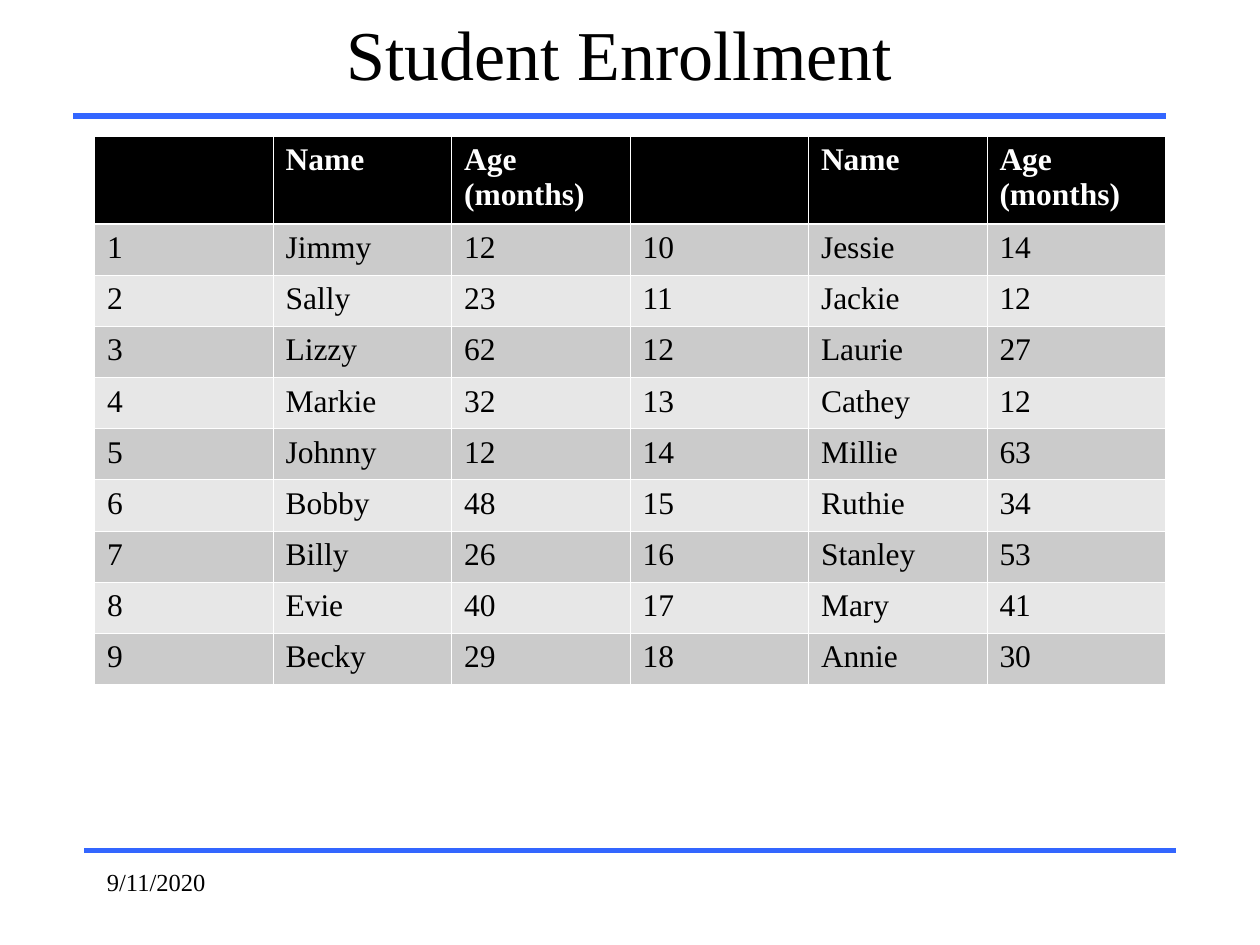
"""Build the Student Enrollment slide."""
from dataclasses import dataclass
from typing import NamedTuple

from lxml import etree
from pptx import Presentation
from pptx.dml.color import RGBColor
from pptx.enum.shapes import MSO_CONNECTOR
from pptx.enum.text import MSO_ANCHOR, PP_ALIGN
from pptx.oxml.ns import qn
from pptx.util import Inches, Pt

STRAIGHT = MSO_CONNECTOR.STRAIGHT
TOP, MIDDLE = MSO_ANCHOR.TOP, MSO_ANCHOR.MIDDLE
LEFT, CENTER = PP_ALIGN.LEFT, PP_ALIGN.CENTER


@dataclass(frozen=True)
class Theme:
    font: str = "Times New Roman"
    text: str = "000000"
    rule: str = "3366FF"
    header_fill: str = "000000"
    header_text: str = "FFFFFF"
    bands: tuple = ("CBCBCB", "E7E7E7")
    border: str = "FFFFFF"
    title_size: float = 40
    table_size: float = 18
    date_size: float = 14
    rule_width: float = 3
    border_width: float = 0.45
    header_border_width: float = 1.47


class Student(NamedTuple):
    name: str
    age: int


class Rule(NamedTuple):
    left: float
    right: float
    top: float


class Label(NamedTuple):
    text: str
    left: float
    top: float
    width: float
    height: float
    size: float
    align: PP_ALIGN
    anchor: MSO_ANCHOR


THEME = Theme()
RULES = [Rule(0.67, 9.33, 6.75), Rule(0.58, 9.25, 0.92)]
TITLE = Label("Student Enrollment", 0.58, 0, 8.67, 0.83, THEME.title_size, CENTER, MIDDLE)
DATE = Label("9/11/2020", 0.75, 6.83, 2.08, 0.5, THEME.date_size, LEFT, TOP)
HEADINGS = ["", "Name", "Age (months)"]
STUDENTS = [
    Student("Jimmy", 12), Student("Sally", 23), Student("Lizzy", 62),
    Student("Markie", 32), Student("Johnny", 12), Student("Bobby", 48),
    Student("Billy", 26), Student("Evie", 40), Student("Becky", 29),
    Student("Jessie", 14), Student("Jackie", 12), Student("Laurie", 27),
    Student("Cathey", 12), Student("Millie", 63), Student("Ruthie", 34),
    Student("Stanley", 53), Student("Mary", 41), Student("Annie", 30),
]
TABLE_LEFT, TABLE_TOP, TABLE_WIDTH, TABLE_HEIGHT = 0.75, 1.08, 8.5, 4.35
HEADER_HEIGHT = 0.7


def add_span(para, text: str, size: float, color: str, bold: bool = False) -> None:
    span = para.add_run()
    span.text = text
    span.font.name = THEME.font
    span.font.size = Pt(size)
    span.font.bold = bold
    span.font.color.rgb = RGBColor.from_string(color)


def draw_rule(page, rule: Rule) -> None:
    line = page.shapes.add_connector(
        STRAIGHT, Inches(rule.left), Inches(rule.top), Inches(rule.right), Inches(rule.top))
    line.line.color.rgb = RGBColor.from_string(THEME.rule)
    line.line.width = Pt(THEME.rule_width)
    etree.SubElement(line._element.spPr, qn("a:effectLst"))


def draw_label(page, label: Label) -> None:
    box = page.shapes.add_textbox(
        Inches(label.left), Inches(label.top), Inches(label.width), Inches(label.height))
    frame = box.text_frame
    frame.word_wrap = True
    frame.vertical_anchor = label.anchor
    para = frame.paragraphs[0]
    para.alignment = label.align
    add_span(para, label.text, label.size, THEME.text)


def set_border(cell, side: str, width: float) -> None:
    line = etree.SubElement(cell._tc.get_or_add_tcPr(), qn(f"a:ln{side}"), w=str(Pt(width)))
    fill = etree.SubElement(line, qn("a:solidFill"))
    etree.SubElement(fill, qn("a:srgbClr"), val=THEME.border)


def fill_cell(cell, text: str, row: int) -> None:
    is_header = row == 0
    thick_side = {0: "B", 1: "T"}.get(row)
    for side in "LRTB":
        is_thick = side == thick_side
        set_border(cell, side, THEME.header_border_width if is_thick else THEME.border_width)
    cell.fill.solid()
    fill = THEME.header_fill if is_header else THEME.bands[(row - 1) % 2]
    cell.fill.fore_color.rgb = RGBColor.from_string(fill)
    if text:
        color = THEME.header_text if is_header else THEME.text
        add_span(cell.text_frame.paragraphs[0], text, THEME.table_size, color, is_header)


def enrollment_rows() -> list[list[str]]:
    half = len(STUDENTS) // 2
    entries = [[str(number), student.name, str(student.age)]
               for number, student in enumerate(STUDENTS, 1)]
    return [HEADINGS * 2] + [a + b for a, b in zip(entries[:half], entries[half:])]


def draw_table(page, rows: list[list[str]]) -> None:
    table = page.shapes.add_table(
        len(rows), len(rows[0]), Inches(TABLE_LEFT), Inches(TABLE_TOP),
        Inches(TABLE_WIDTH), Inches(TABLE_HEIGHT)).table
    for column in table.columns:
        column.width = Inches(TABLE_WIDTH / len(rows[0]))
    body_height = (TABLE_HEIGHT - HEADER_HEIGHT) / (len(rows) - 1)
    for row, texts in enumerate(rows):
        table.rows[row].height = Inches(body_height if row else HEADER_HEIGHT)
        for column, text in enumerate(texts):
            fill_cell(table.cell(row, column), text, row)


def main() -> None:
    deck = Presentation()
    deck.slide_width, deck.slide_height = Inches(10), Inches(7.5)
    page = deck.slides.add_slide(deck.slide_layouts[6])
    for rule in RULES:
        draw_rule(page, rule)
    draw_label(page, TITLE)
    draw_table(page, enrollment_rows())
    draw_label(page, DATE)
    deck.save("out.pptx")


if __name__ == "__main__":
    main()
